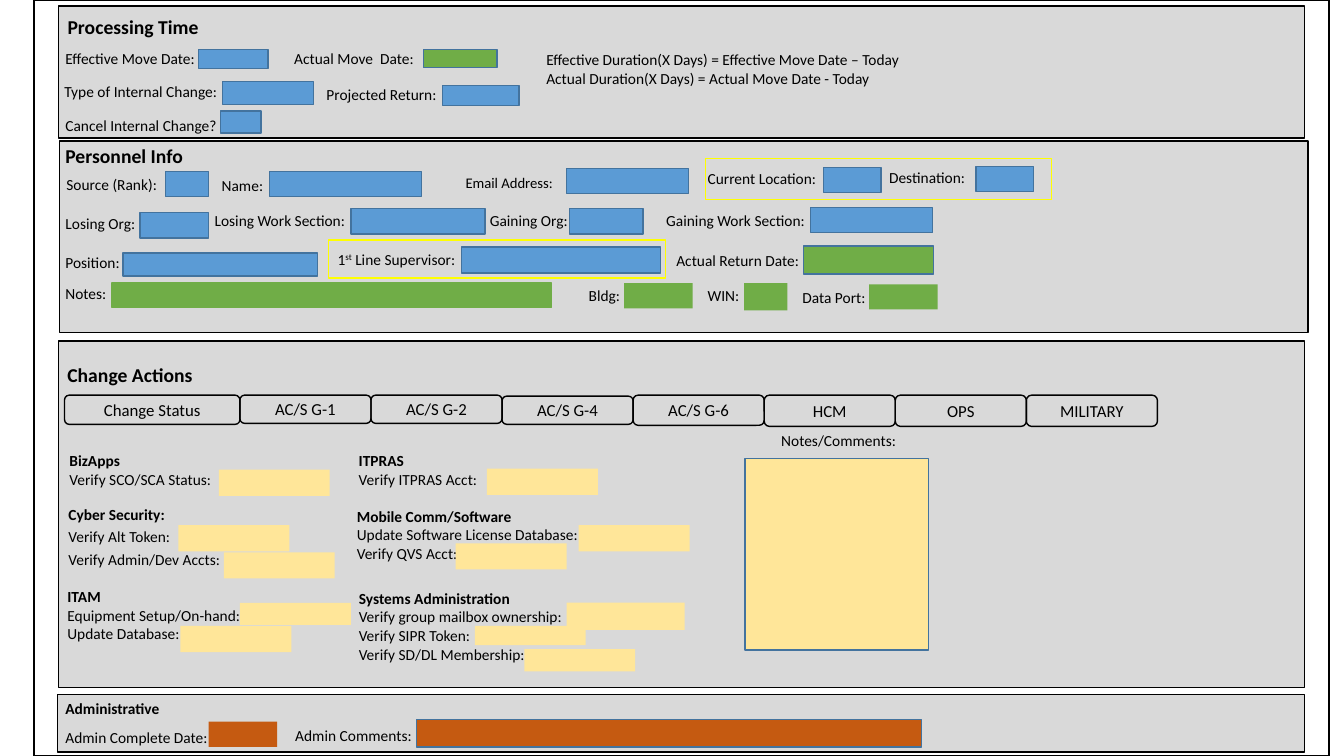
import pptx
import pptx.util
import pptx.dml.color
import pptx.enum.shapes
import pptx.enum.text

Inches = pptx.util.Inches
Pt = pptx.util.Pt

BLACK, GREY, YELLOW, EDGE = "000000", "D9D9D9", "FFFF00", "43739E"

# Field style: fill, outline
FIELDS = {
    "input": ("5B9BD5", EDGE),
    "date": ("70AD47", EDGE),
    "note": ("70AD47", "70AD47"),
    "site": ("70AD47", None),
    "check": ("FFE699", None),
    "comment": ("FFE699", EDGE),
    "admin": ("C55A11", None),
    "remark": ("C55A11", EDGE),
}

PANELS = [
    (0.58, 0.06, 12.36, 1.31),
    (0.59, 1.4, 12.38, 1.9),
    (0.58, 3.38, 12.36, 3.44),
    (0.57, 6.89, 12.37, 0.57),
]

# Label, label place, field style, field place
LABELLED_FIELDS = [
    # Processing time
    ("Effective Move Date:", (0.55, 0.44, 1.67, 0.29), "input", (1.97, 0.49, 0.69, 0.19)),
    ("Actual Move  Date:", (2.82, 0.44, 1.6, 0.29), "date", (4.2, 0.49, 0.73, 0.18)),
    ("Type of Internal Change:", (0.54, 0.77, 1.92, 0.29), "input", (2.21, 0.81, 0.9, 0.23)),
    ("Projected Return:", (3.14, 0.79, 1.3, 0.29), "input", (4.39, 0.85, 0.76, 0.2)),
    ("Cancel Internal Change?", (0.55, 1.1, 1.92, 0.29), "input", (2.19, 1.1, 0.4, 0.22)),
    # Personnel info
    ("Source (Rank):", (0.56, 1.69, 1.88, 0.29), "input", (1.64, 1.7, 0.43, 0.25)),
    ("Name:", (2.1, 1.7, 2.18, 0.29), "input", (2.67, 1.7, 1.51, 0.25)),
    ("Current Location:", (6.92, 1.63, 1.8, 0.29), "input", (8.17, 1.66, 0.57, 0.25)),
    ("Destination:", (8.72, 1.62, 1.8, 0.29), "input", (9.68, 1.65, 0.57, 0.25)),
    ("Losing Org:", (0.55, 2.07, 0.91, 0.29), "input", (1.39, 2.11, 0.68, 0.25)),
    ("Losing Work Section:", (2.03, 2.05, 1.55, 0.29), "input", (3.48, 2.07, 1.33, 0.25)),
    ("Gaining Org:", (4.76, 2.05, 1.79, 0.29), "input", (5.65, 2.07, 0.73, 0.25)),
    ("Gaining Work Section:", (6.51, 2.05, 1.8, 0.29), "input", (8.04, 2.06, 1.21, 0.25)),
    ("Position:", (0.55, 2.46, 2.32, 0.29), "input", (1.22, 2.51, 1.93, 0.23)),
    ("Actual Return Date:", (6.61, 2.44, 1.96, 0.29), "date", (7.97, 2.44, 1.29, 0.28)),
    ("Notes:", (0.55, 2.77, 1.12, 0.29), "note", (1.11, 2.81, 4.36, 0.24)),
    ("Bldg:", (5.74, 2.79, 1.41, 0.29), "site", (6.19, 2.81, 0.68, 0.25)),
    ("WIN:", (6.92, 2.79, 0.93, 0.29), "site", (7.38, 2.81, 0.43, 0.27)),
    ("Data Port:", (7.86, 2.81, 0.84, 0.29), "site", (8.62, 2.82, 0.68, 0.25)),
    # Change actions and administrative
    ("Notes/Comments:", (7.65, 4.23, 2.52, 0.29), "comment", (7.39, 4.55, 1.82, 1.9)),
    ("Admin Complete Date:", (0.55, 7.17, 2.15, 0.29), "admin", (2.07, 7.16, 0.68, 0.25)),
    ("Admin Comments:", (2.83, 7.15, 2.54, 0.29), "remark", (4.13, 7.14, 5.01, 0.27)),
]

# Heading and checks, place, space after, check fields
CHECK_GROUPS = [
    (["BizApps", "Verify SCO/SCA Status:"], (0.59, 4.43, 2.31, 0.47), 0,
     [(2.17, 4.66, 1.1, 0.26)]),
    (["Cyber Security:", "Verify Alt Token:", "Verify Admin/Dev Accts:"],
     (0.58, 4.96, 2.13, 0.74), 3,
     [(1.77, 5.21, 1.1, 0.26), (2.22, 5.48, 1.1, 0.26)]),
    (["ITAM", "Equipment Setup/On-hand:", "Update Database:"],
     (0.57, 5.78, 2.27, 0.84), 0,
     [(2.38, 5.98, 1.1, 0.22), (1.79, 6.21, 1.1, 0.26)]),
    (["ITPRAS", "Verify ITPRAS Acct:"], (3.46, 4.43, 2.83, 0.47), 0,
     [(4.83, 4.65, 1.1, 0.26)]),
    (["Mobile Comm/Software", "Update Software License Database:", "Verify QVS Acct:"],
     (3.44, 4.98, 5.79, 0.66), 0,
     [(5.74, 5.21, 1.1, 0.26), (4.52, 5.39, 1.1, 0.26)]),
    (["Systems Administration", "Verify group mailbox ownership:",
      "Verify SIPR Token:", "Verify SD/DL Membership:"],
     (3.46, 5.79, 2.69, 0.84), 0.2,
     [(5.62, 5.98, 1.17, 0.27), (4.71, 6.21, 1.1, 0.19), (5.2, 6.44, 1.1, 0.22)]),
]

# Tab name, top, height
TABS = [
    ("AC/S G-1", 3.92, 0.28), ("AC/S G-2", 3.92, 0.28), ("AC/S G-4", 3.93, 0.28),
    ("AC/S G-6", 3.92, 0.3), ("HCM", 3.92, 0.31), ("OPS", 3.92, 0.31),
    ("MILITARY", 3.92, 0.31),
]


def color(value):
    return pptx.dml.color.RGBColor.from_string(value)


class Form:
    """Style and current slide of the form."""

    font = "Calibri"

    def __init__(self, page):
        self.page = page

    def style(self, para, size, bold=False):
        para.font.name = self.font
        para.font.size = Pt(size)
        para.font.bold = bold
        para.font.color.rgb = color(BLACK)

    def box(self, at, fill=None, line=None, width=1, rounded=False):
        kinds = pptx.enum.shapes.MSO_SHAPE
        kind = kinds.ROUNDED_RECTANGLE if rounded else kinds.RECTANGLE
        shape = self.page.shapes.add_shape(kind, *map(Inches, at))
        shape.shadow.inherit = False
        if fill:
            shape.fill.solid()
            shape.fill.fore_color.rgb = color(fill)
        else:
            shape.fill.background()
        if line:
            shape.line.color.rgb = color(line)
            shape.line.width = Pt(width)
        else:
            shape.line.fill.background()
        return shape

    def field(self, kind, at):
        self.box(at, *FIELDS[kind])

    def tab(self, name, at):
        shape = self.box(at, line=BLACK, rounded=True)
        frame = shape.text_frame
        frame.margin_top = frame.margin_bottom = 0
        frame.vertical_anchor = pptx.enum.text.MSO_ANCHOR.MIDDLE
        para = frame.paragraphs[0]
        para.text = name
        para.alignment = pptx.enum.text.PP_ALIGN.CENTER
        self.style(para, 12)

    def text(self, lines, at, size=11, headed=False, after=0):
        shape = self.page.shapes.add_textbox(*map(Inches, at))
        frame = shape.text_frame
        frame.word_wrap = True
        frame.margin_right = 0
        frame.text = "\n".join(lines)
        for number, para in enumerate(frame.paragraphs):
            self.style(para, size, headed and number == 0)
            para.space_after = Pt(after)
        return shape

    def title(self, words, at):
        shape = self.page.shapes.title
        shape.left, shape.top, shape.width, shape.height = map(Inches, at)
        frame = shape.text_frame
        frame.text = words
        frame.auto_size = pptx.enum.text.MSO_AUTO_SIZE.NONE
        frame.vertical_anchor = pptx.enum.text.MSO_ANCHOR.TOP
        para = frame.paragraphs[0]
        para.alignment = pptx.enum.text.PP_ALIGN.LEFT
        self.style(para, 14, True)
        # Bring the title in front of its panel
        shape.element.getparent().append(shape.element)


def main():
    deck = pptx.Presentation()
    deck.slide_width, deck.slide_height = Inches(13.33), Inches(7.5)
    form = Form(deck.slides.add_slide(deck.slide_layouts[5]))

    # Frame and panels
    form.box((0.34, 0, 12.84, 7.5), line=BLACK, width=1.25)
    for at in PANELS:
        form.box(at, GREY, BLACK, 1.25)

    # Headings
    form.title("Processing Time", (0.57, 0.1, 1.73, 0.34))
    form.text(["Personnel Info"], (0.55, 1.38, 1.77, 0.34), 14, True)
    form.text(["Change Actions"], (0.57, 3.55, 3.06, 0.34), 14, True)
    form.text(["Administrative"], (0.55, 6.89, 1.7, 0.29), headed=True)

    # Labelled fields
    for label, place, kind, at in LABELLED_FIELDS:
        form.text([label], place)
        form.field(kind, at)
    form.text(["Email Address:"], (4.52, 1.68, 1.6, 0.28), 10.5)
    form.field("input", (5.62, 1.67, 1.21, 0.25))

    # Supervisor label with a raised ordinal
    label = form.text([""], (3.25, 2.43, 1.48, 0.29))
    for words in ("1", "st", " Line Supervisor:"):
        label.text_frame.paragraphs[0].add_run().text = words
    ordinal = label.element.xpath(".//a:r")[1]
    ordinal.get_or_add_rPr().set("baseline", "30000")
    form.field("input", (4.58, 2.45, 1.97, 0.26))

    # Duration rules
    form.text(["Effective Duration(X Days) = Effective Move Date – Today",
               "Actual Duration(X Days) = Actual Move Date - Today"],
              (5.32, 0.45, 4.26, 0.66))

    # Change action tabs
    form.tab("Change Status", (0.64, 3.92, 1.74, 0.29))
    for number, (name, top, height) in enumerate(TABS):
        form.tab(name, (2.38 + 1.3 * number, top, 1.3, height))

    # Check groups
    for lines, place, after, fields in CHECK_GROUPS:
        form.text(lines, place, headed=True, after=after)
        for at in fields:
            form.field("check", at)

    # Yellow highlights
    form.box((7, 1.57, 3.43, 0.41), line=YELLOW)
    form.box((3.26, 2.38, 3.34, 0.38), line=YELLOW)

    deck.save("out.pptx")


if __name__ == "__main__":
    main()
